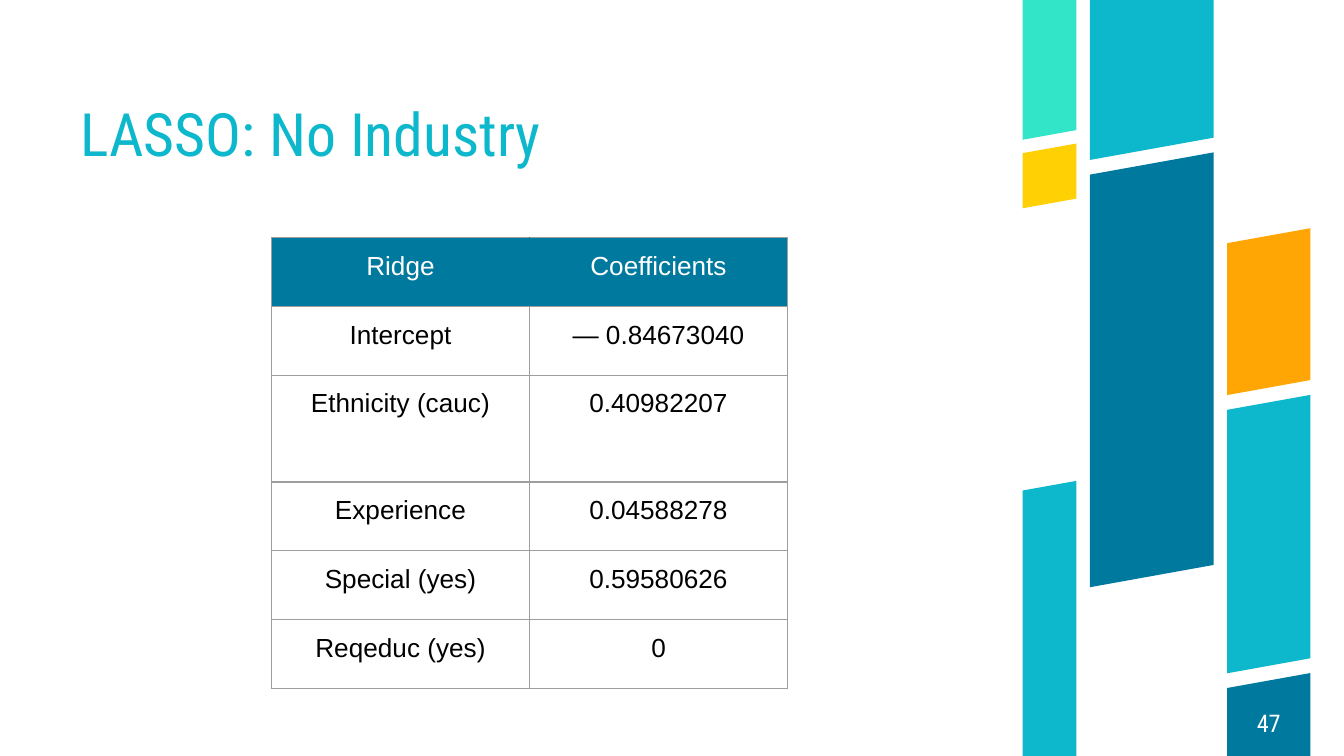
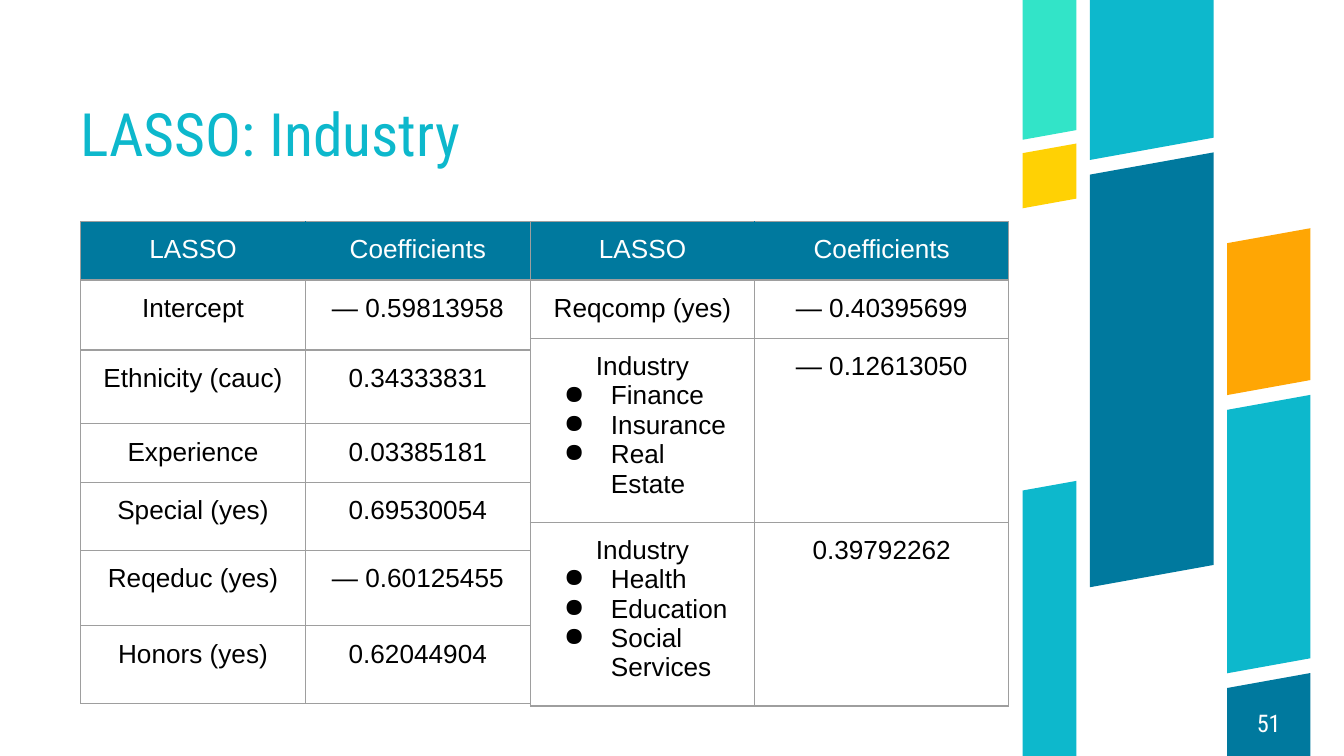
import collections

import lxml.etree
import pptx
import pptx.dml.color
import pptx.enum.text
import pptx.oxml.ns
import pptx.util

Box = collections.namedtuple("Box", "left top width height")
Stripe = collections.namedtuple("Stripe", "left width bands")

GRID_COLUMNS, GRID_ROWS = 100, 56.25
UNIT = pptx.util.Inches(10) // GRID_COLUMNS
SLANT = 0.18
COLORS = {
    "teal": "0DB8CC", "deep": "00799E", "mint": "32E4C8", "yellow": "FFD104",
    "orange": "FFA604", "white": "FFFFFF", "black": "000000", "border": "9E9E9E",
}
TITLE_FONT, TABLE_FONT = "Roboto Condensed", "Arial"
CENTER = pptx.enum.text.PP_ALIGN.CENTER

STRIPE_BOX = Box(76.1, 0, 21.4, GRID_ROWS)
TITLE_BOX = Box(6, 8.3, 66.8, 4.3)
NUMBER_BOX = Box(91.3, 51.25, 6.2, 5)
STRIPES = [
    Stripe(0, 4, [("teal", 36.5, GRID_ROWS), ("yellow", 11.4, 15.5), ("mint", 0, 10.4)]),
    Stripe(5, 9.2, [("deep", 13, 43.7), ("teal", 0, 11.9)]),
    Stripe(15.2, 6.2, [("orange", 18.1, 29.4), ("deep", 51.2, GRID_ROWS), ("teal", 30.5, 50.1)]),
]

NO_INDUSTRY = [
    ("Ridge", "Coefficients"),
    ("Intercept", "— 0.84673040"),
    ("Ethnicity (cauc)", "0.40982207"),
    ("Experience", "0.04588278"),
    ("Special (yes)", "0.59580626"),
    ("Reqeduc (yes)", "0"),
]
INDUSTRY_PERSONAL = [
    ("LASSO", "Coefficients"),
    ("Intercept", "— 0.59813958"),
    ("Ethnicity (cauc)", "0.34333831"),
    ("Experience", "0.03385181"),
    ("Special (yes)", "0.69530054"),
    ("Reqeduc (yes)", "— 0.60125455"),
    ("Honors (yes)", "0.62044904"),
]
INDUSTRY_SECTORS = [
    ("LASSO", "Coefficients"),
    ("Reqcomp (yes)", "— 0.40395699"),
    (["Industry", "Finance", "Insurance", "Real Estate"], "— 0.12613050"),
    (["Industry", "Health", "Education", "Social Services"], "0.39792262"),
]


def grid(count):
    """Turn a number of grid units into a length."""
    return pptx.util.Emu(round(count * UNIT))


def rgb(name):
    """Look up a named colour."""
    return pptx.dml.color.RGBColor.from_string(COLORS[name])


def add_span(para, text, font, size, color):
    """Append one formatted run to a paragraph."""
    span = para.add_run()
    span.text = text
    span.font.name = font
    span.font.size = pptx.util.Pt(size)
    span.font.color.rgb = rgb(color)


def add_line(page, box, text, size, color, anchor):
    """Place one line of text without margins and return its paragraph."""
    frame = page.shapes.add_textbox(*map(grid, box)).text_frame
    frame.word_wrap = True
    frame.vertical_anchor = anchor
    frame.margin_left = frame.margin_top = frame.margin_right = frame.margin_bottom = 0
    para = frame.paragraphs[0]
    add_span(para, text, TITLE_FONT, size, color)
    return para


def add_stripes(page, box):
    """Draw the slanted colour bands, cut flat at the edges of the box."""
    group = page.shapes.add_group_shape()
    for stripe in STRIPES:
        left = box.left + stripe.left
        right = left + stripe.width
        for color, top, bottom in stripe.bands:
            rise = SLANT * stripe.width
            top_right = top - rise if top > 0 else top
            bottom_right = bottom - rise if bottom < box.height else bottom
            corners = [(left, top), (right, top_right), (right, bottom_right), (left, bottom)]
            points = [(grid(x), grid(box.top + y)) for x, y in corners]
            builder = group.shapes.build_freeform(*points[0])
            builder.add_line_segments(points[1:], close=True)
            band = builder.convert_to_shape()
            band.shadow.inherit = False
            band.fill.solid()
            band.fill.fore_color.rgb = rgb(color)
            band.line.fill.background()


def set_borders(cell, **sides):
    """Draw the four borders of a cell in named colours."""
    properties = cell._tc.get_or_add_tcPr()
    for index, side in enumerate("LRTB"):
        line = lxml.etree.Element(pptx.oxml.ns.qn(f"a:ln{side}"), w=str(pptx.util.Pt(0.75)))
        fill = lxml.etree.SubElement(line, pptx.oxml.ns.qn("a:solidFill"))
        color = COLORS[sides.get(side, "border")]
        lxml.etree.SubElement(fill, pptx.oxml.ns.qn("a:srgbClr"), val=color)
        properties.insert(index, line)


def add_bullet(para):
    """Give a paragraph a hanging round bullet."""
    properties = para._p.get_or_add_pPr()
    properties.set("marL", str(grid(5)))
    properties.set("indent", str(grid(-3.5)))
    color = lxml.etree.SubElement(properties, pptx.oxml.ns.qn("a:buClr"))
    lxml.etree.SubElement(color, pptx.oxml.ns.qn("a:srgbClr"), val=COLORS["black"])
    lxml.etree.SubElement(properties, pptx.oxml.ns.qn("a:buChar"), char="●")


def fill_cell(cell, content, color):
    """Write a centred line, followed by bullets where the content is a list."""
    cell.margin_left = cell.margin_right = cell.margin_top = cell.margin_bottom = grid(1)
    lines = content if isinstance(content, list) else [content]
    for index, text in enumerate(lines):
        if index:
            para = cell.text_frame.add_paragraph()
            add_bullet(para)
        else:
            para = cell.text_frame.paragraphs[0]
            para.alignment = CENTER
        add_span(para, text, TABLE_FONT, 14, color)


def add_coefficients(page, left, top, widths, heights, records):
    """Build a two-column coefficient table with a dark header row."""
    box = Box(left, top, sum(widths), sum(heights))
    table = page.shapes.add_table(len(records), len(widths), *map(grid, box)).table
    table.first_row = table.horz_banding = False
    for column, width in zip(table.columns, widths):
        column.width = grid(width)
    for row, height in zip(table.rows, heights):
        row.height = grid(height)
    for row_index, record in enumerate(records):
        for column_index, content in enumerate(record):
            cell = table.cell(row_index, column_index)
            if row_index == 0:
                cell.fill.solid()
                cell.fill.fore_color.rgb = rgb("deep")
                set_borders(cell, **{"RL"[column_index]: "deep"})
            else:
                cell.fill.background()
                set_borders(cell)
            fill_cell(cell, content, "black" if row_index else "white")


def add_page(deck, title, number):
    """Start a page with its bands, title and page number."""
    page = deck.slides.add_slide(deck.slide_layouts[6])
    add_stripes(page, STRIPE_BOX)
    anchors = pptx.enum.text.MSO_ANCHOR
    add_line(page, TITLE_BOX, title, 32, "teal", anchors.BOTTOM).line_spacing = 0.9
    add_line(page, NUMBER_BOX, number, 13, "white", anchors.MIDDLE).alignment = CENTER
    return page


def build_no_industry(deck):
    """Build the page with a single coefficient table."""
    page = add_page(deck, "LASSO: No Industry", "47")
    heights = [5.13, 5.13, 7.9, 5.13, 5.13, 5.13]
    add_coefficients(page, 20.2, 17.7, [19.2, 19.2], heights, NO_INDUSTRY)


def build_industry(deck):
    """Build the page with two adjoining coefficient tables."""
    page = add_page(deck, "LASSO: Industry", "51")
    widths = [16.73, 16.73]
    heights = [4.2, 5.2, 5.5, 4.2, 5.1, 5.6, 5.8]
    left, top = TITLE_BOX.left, 16.5
    add_coefficients(page, left, top, widths, heights, INDUSTRY_PERSONAL)
    add_coefficients(page, left + sum(widths), top, [16.7, 18.9], [4.2, 4.3, 12.9, 12.9], INDUSTRY_SECTORS)


def main():
    """Build and save the deck."""
    deck = pptx.Presentation()
    deck.slide_width = grid(GRID_COLUMNS)
    deck.slide_height = grid(GRID_ROWS)
    build_no_industry(deck)
    build_industry(deck)
    deck.save("out.pptx")


if __name__ == "__main__":
    main()
